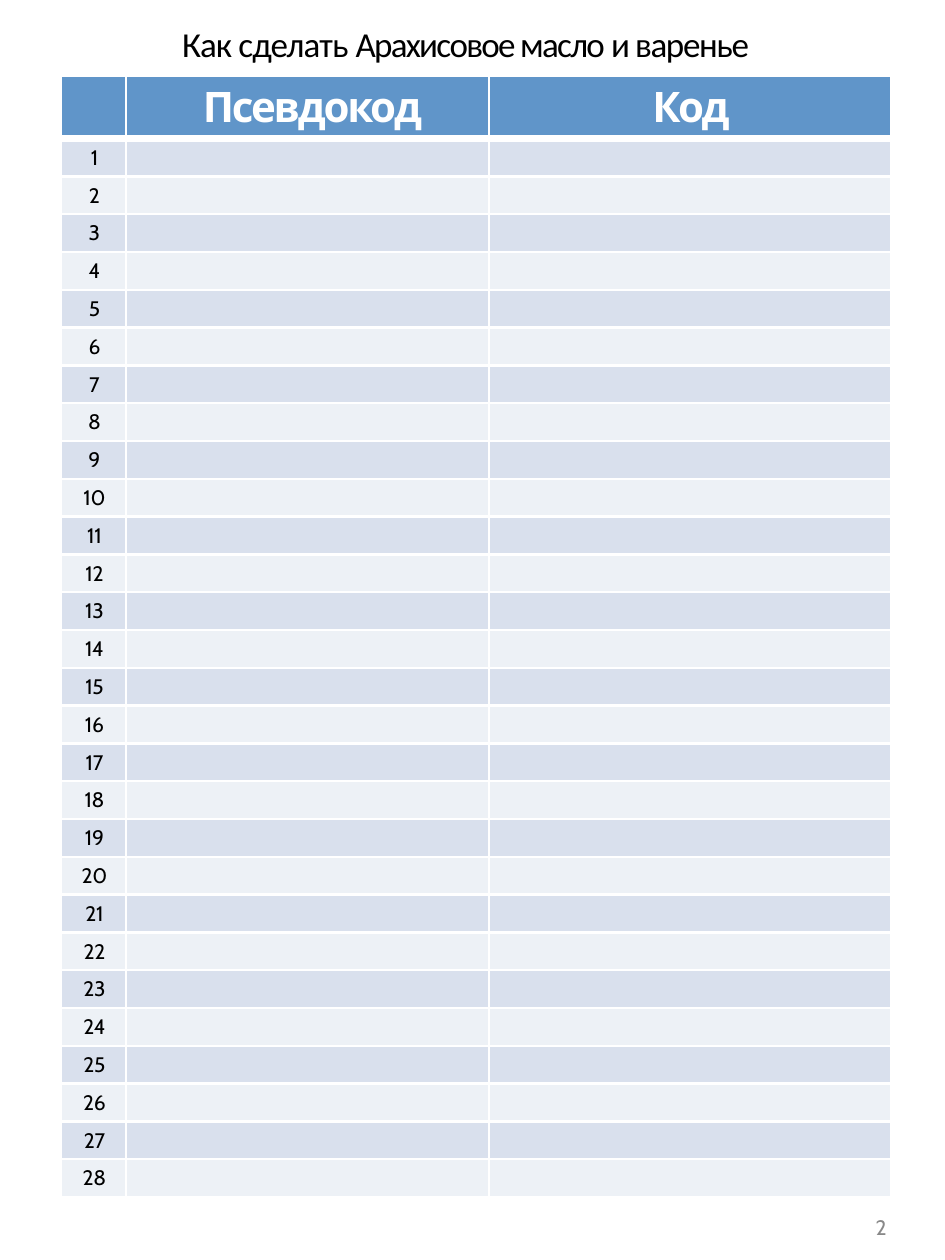
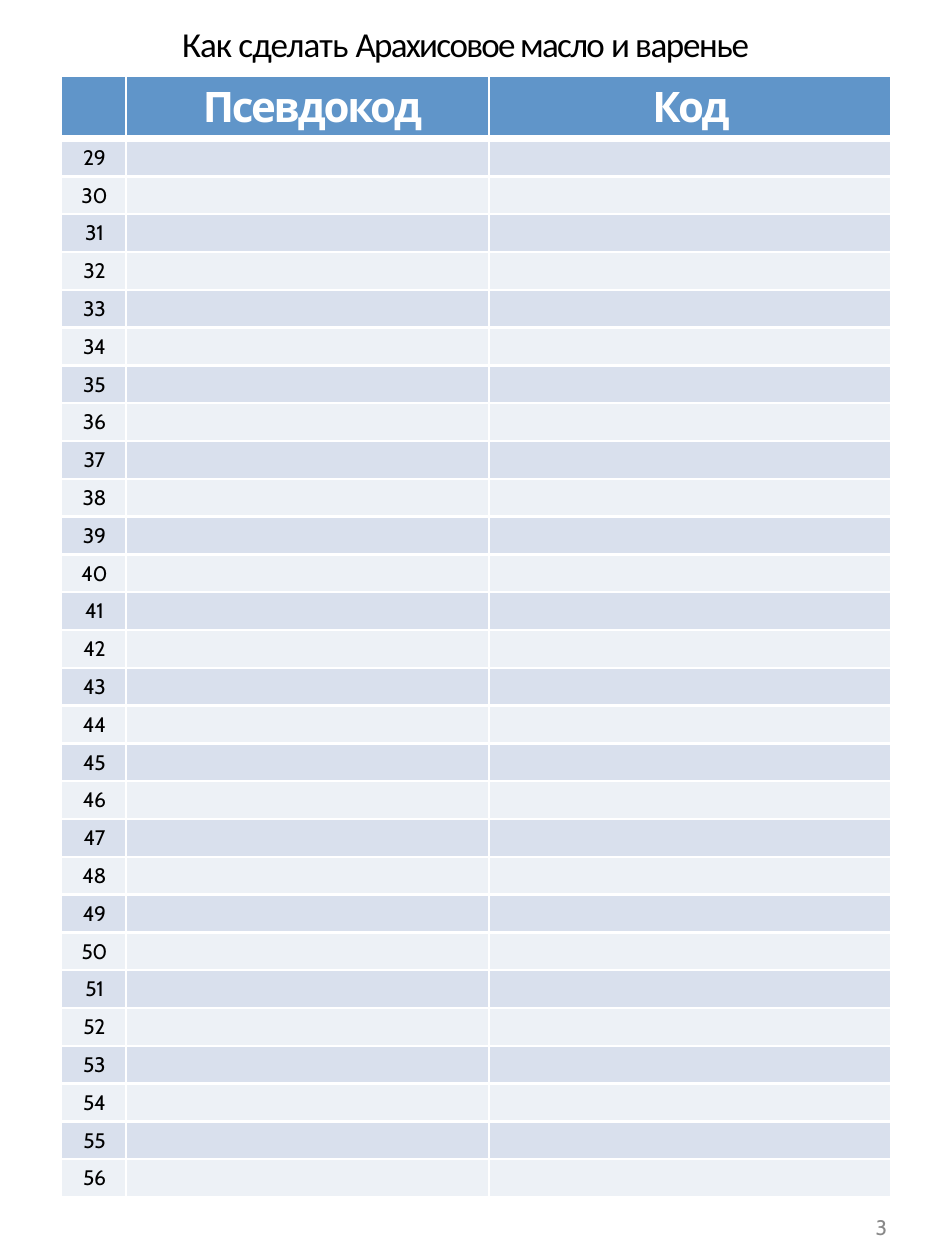
from dataclasses import dataclass

from lxml.etree import SubElement
from pptx import Presentation
from pptx.dml.color import RGBColor as RGB
from pptx.enum.text import MSO_AUTO_SIZE as AutoSize, PP_ALIGN as Align
from pptx.oxml.ns import qn
from pptx.util import Inches, Pt


@dataclass(frozen=True)
class Theme:
    header_fill: str = "6095C9"
    bands: tuple = ("D9E0ED", "EDF1F6")
    white: str = "FFFFFF"
    ink: str = "000000"
    footer_ink: str = "898989"
    title_font: str = "Calibri"
    body_font: str = "Cabin"
    title_size: int = 20
    header_size: int = 24
    body_size: int = 12
    thin_line: float = 1.5
    thick_line: float = 4.25


THEME = Theme()
TITLE = [("Как сделать ", -0.5), ("Арахисовое масло ", -1), ("и варенье ", -0.8)]
COLUMN_WIDTHS = (0.52, 2.88, 3.19)
HEADER_HEIGHT, ROW_HEIGHT = 0.5, 0.3
LINES_PER_SLIDE = 28
FIRST_PAGE = 2


def write(frame, runs, size=THEME.body_size, font=THEME.body_font, color=THEME.ink,
          bold=False, align=Align.CENTER, indent=0.02):
    """Fill the frame's first paragraph with (text, letter spacing in points) runs."""
    paragraph = frame.paragraphs[0]
    paragraph.alignment = align
    paragraph.space_before = Pt(0)
    properties = paragraph._p.get_or_add_pPr()
    properties.set("marL", str(Inches(indent)))
    properties.set("indent", "0")
    for text, spacing in runs:
        run = paragraph.add_run()
        run.text = text
        run.font.size, run.font.name, run.font.bold = Pt(size), font, bold
        run.font.color.rgb = RGB.from_string(color)
        run._r.get_or_add_rPr().set("spc", str(round(spacing * 100)))
    if not runs:  # keeps an empty cell as low as a filled one
        SubElement(paragraph._p, qn("a:endParaRPr"), sz=str(size * 100))


def style_cell(cell, fill, top, bottom):
    """Set margins, white borders (widths in points) and fill of a table cell."""
    cell.margin_left = cell.margin_right = cell.margin_bottom = 0
    cell.margin_top = Inches(0.05)
    borders = {"lnL": THEME.thin_line, "lnR": THEME.thin_line, "lnT": top, "lnB": bottom}
    for side, width in borders.items():
        line = SubElement(cell._tc.get_or_add_tcPr(), qn(f"a:{side}"), w=str(Pt(width)))
        SubElement(SubElement(line, qn("a:solidFill")), qn("a:srgbClr"), val=THEME.white)
    cell.fill.solid()
    cell.fill.fore_color.rgb = RGB.from_string(fill)


deck = Presentation()
deck.slide_width, deck.slide_height = Inches(7.5), Inches(10)
blank = deck.slide_layouts[6]

for page in range(2):
    slide = deck.slides.add_slide(blank)

    # Worksheet table
    table = slide.shapes.add_table(
        LINES_PER_SLIDE + 1, len(COLUMN_WIDTHS), Inches(0.48), Inches(0.6),
        Inches(sum(COLUMN_WIDTHS)), Inches(HEADER_HEIGHT + LINES_PER_SLIDE * ROW_HEIGHT),
    ).table
    table.horz_banding = False
    for column, width in zip(table.columns, COLUMN_WIDTHS):
        column.width = Inches(width)

    for index, row in enumerate(table.rows):
        row.height = Inches(ROW_HEIGHT if index else HEADER_HEIGHT)
        fill = THEME.bands[(index - 1) % 2] if index else THEME.header_fill
        top = THEME.thick_line if index == 1 else THEME.thin_line
        bottom = THEME.thick_line if index == 0 else THEME.thin_line
        for cell in row.cells:
            style_cell(cell, fill, top, bottom)
        number_cell, pseudocode_cell, code_cell = row.cells
        if index == 0:
            heading = dict(size=THEME.header_size, color=THEME.white, bold=True)
            write(number_cell.text_frame, [])
            write(pseudocode_cell.text_frame, [("Псевдокод", -1.3)],
                  align=Align.LEFT, indent=0.61, **heading)
            write(code_cell.text_frame, [("Код", -1.4)], **heading)
        else:
            number = page * LINES_PER_SLIDE + index
            write(number_cell.text_frame, [(str(number), 0 if number < 10 else -0.2)])
            write(pseudocode_cell.text_frame, [])
            write(code_cell.text_frame, [])

    # Title and page number
    for place, runs, look in (
        ((0.97, 0.17, 5.49, 0.35), TITLE,
         dict(size=THEME.title_size, font=THEME.title_font, indent=0.01)),
        ((6.92, 9.63, 0.14, 0.23), [(str(FIRST_PAGE + page), -0.2)],
         dict(color=THEME.footer_ink, align=Align.LEFT, indent=0.03)),
    ):
        frame = slide.shapes.add_textbox(*map(Inches, place)).text_frame
        frame.word_wrap = True
        frame.auto_size = AutoSize.SHAPE_TO_FIT_TEXT
        frame.margin_left = frame.margin_right = frame.margin_bottom = 0
        frame.margin_top = Inches(0.01)
        write(frame, runs, **look)

deck.save("out.pptx")
